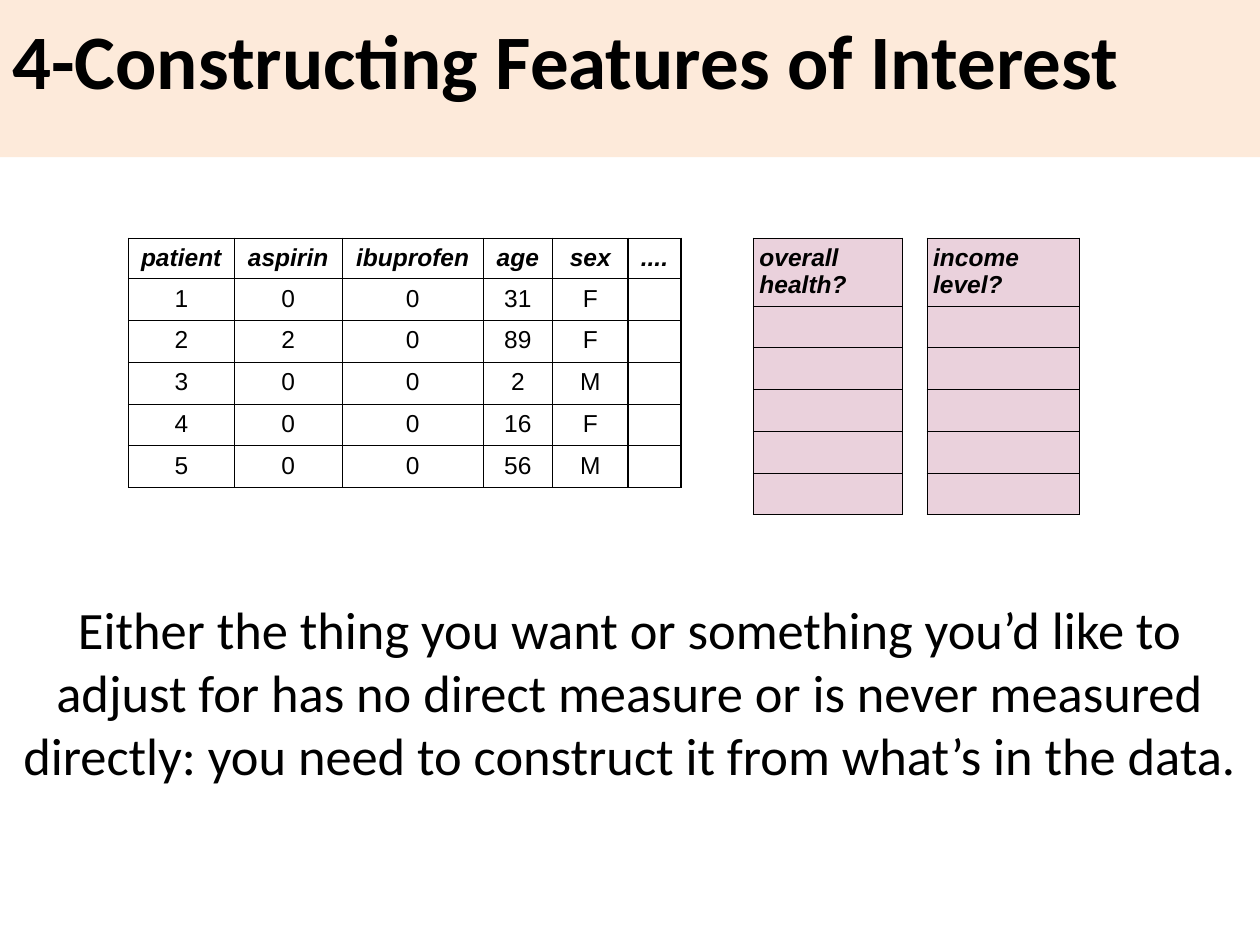
from lxml import etree
from pptx import Presentation
from pptx import util as u
from pptx.dml.color import RGBColor
from pptx.enum import text
from pptx.oxml.ns import qn

THEME = {
    "band": "FDEADA", "plain": "FFFFFF", "wanted": "EAD1DC", "ink": "000000",
    "heading_font": "Calibri", "table_font": "Arial",
    "title_size": 44, "body_size": 30, "table_size": 14, "border": 0.75,
}

TITLE = "4-Constructing Features of Interest"
MESSAGE = ("Either the thing you want or something you’d like to adjust for has no "
           "direct measure or is never measured directly: you need to construct it "
           "from what’s in the data.")
PATIENTS = [
    ["patient", "aspirin", "ibuprofen", "age", "sex", "...."],
    ["1", "0", "0", "31", "F", ""],
    ["2", "2", "0", "89", "F", ""],
    ["3", "0", "0", "2", "M", ""],
    ["4", "0", "0", "16", "F", ""],
    ["5", "0", "0", "56", "M", ""],
]


def unmeasured(heading):
    """A one-column table: a heading above an empty cell for each patient."""
    return [[heading]] + [[""] for patient in PATIENTS[1:]]


# All lengths are in centimetres.
TABLE_TOP = 4.8
INSET = 0.12
TABLES = [
    {"rows": PATIENTS, "left": 2.59, "widths": [2.13, 2.18, 2.84, 1.4, 1.52, 1.07],
     "header": 0.82, "row": 0.81, "fill": "plain", "align": text.PP_ALIGN.CENTER},
    {"rows": unmeasured("overall health?"), "left": 15.19, "widths": [3],
     "header": 1.37, "row": 0.81, "fill": "wanted", "align": text.PP_ALIGN.LEFT},
    {"rows": unmeasured("income level?"), "left": 18.69, "widths": [3.07],
     "header": 1.37, "row": 0.82, "fill": "wanted", "align": text.PP_ALIGN.LEFT},
]


def color(name):
    return RGBColor.from_string(THEME[name])


def set_all(target, values):
    for name, value in values.items():
        setattr(target, name, value)


def write(paragraph, words, font, size, align, bold=False, italic=False):
    paragraph.alignment = align
    if not words:
        # An empty cell takes its line height from the end-of-paragraph size.
        etree.SubElement(paragraph._p, qn("a:endParaRPr"), sz=str(size * 100))
        return
    run = paragraph.add_run()
    run.text = words
    set_all(run.font, {"name": THEME[font], "size": u.Pt(size),
                       "bold": bold, "italic": italic})
    run.font.color.rgb = color("ink")


def fill_frame(shape, box, words, size, align, bold=False):
    set_all(shape, dict(zip(("left", "top", "width", "height"), map(u.Cm, box))))
    frame = shape.text_frame
    set_all(frame, {"word_wrap": True, "auto_size": text.MSO_AUTO_SIZE.NONE,
                    "vertical_anchor": text.MSO_ANCHOR.TOP})
    set_all(frame, {f"margin_{side}": u.Cm(0.25)
                    for side in ("left", "right", "top", "bottom")})
    write(frame.paragraphs[0], words, "heading_font", size, align, bold)


def add_borders(cell):
    properties = cell._tc.get_or_add_tcPr()
    for position, side in enumerate(("lnL", "lnR", "lnT", "lnB")):
        line = etree.Element(qn(f"a:{side}"), w=str(u.Pt(THEME["border"])))
        solid = etree.SubElement(line, qn("a:solidFill"))
        etree.SubElement(solid, qn("a:srgbClr"), val=THEME["ink"])
        properties.insert(position, line)


def add_table(slide, rows, left, widths, header, row, fill, align):
    heights = [header] + [row] * (len(rows) - 1)
    table = slide.shapes.add_table(
        len(rows), len(widths), u.Cm(left), u.Cm(TABLE_TOP),
        u.Cm(sum(widths)), u.Cm(sum(heights))).table
    for column, width in zip(table.columns, widths):
        column.width = u.Cm(width)
    for table_row, height in zip(table.rows, heights):
        table_row.height = u.Cm(height)
    for row_number, values in enumerate(rows):
        is_header = row_number == 0
        for column_number, value in enumerate(values):
            cell = table.cell(row_number, column_number)
            set_all(cell, {f"margin_{side}": u.Cm(INSET)
                           for side in ("left", "right", "top", "bottom")})
            cell.fill.solid()
            cell.fill.fore_color.rgb = color(fill)
            add_borders(cell)
            write(cell.text_frame.paragraphs[0], value, "table_font",
                  THEME["table_size"], align, is_header, is_header)


def main():
    presentation = Presentation()
    presentation.slide_width, presentation.slide_height = u.Cm(25.4), u.Cm(19.05)
    slide = presentation.slides.add_slide(presentation.slide_layouts[5])

    title = slide.shapes.title
    title.fill.solid()
    title.fill.fore_color.rgb = color("band")
    fill_frame(title, (0, 0, 25.4, 3.17), TITLE, THEME["title_size"],
               text.PP_ALIGN.LEFT, bold=True)

    for table in TABLES:
        add_table(slide, **table)

    message = slide.shapes.add_textbox(0, 0, 0, 0)
    fill_frame(message, (0, 11.79, 25.4, 4.4), MESSAGE, THEME["body_size"],
               text.PP_ALIGN.CENTER)
    presentation.save("out.pptx")


if __name__ == "__main__":
    main()
